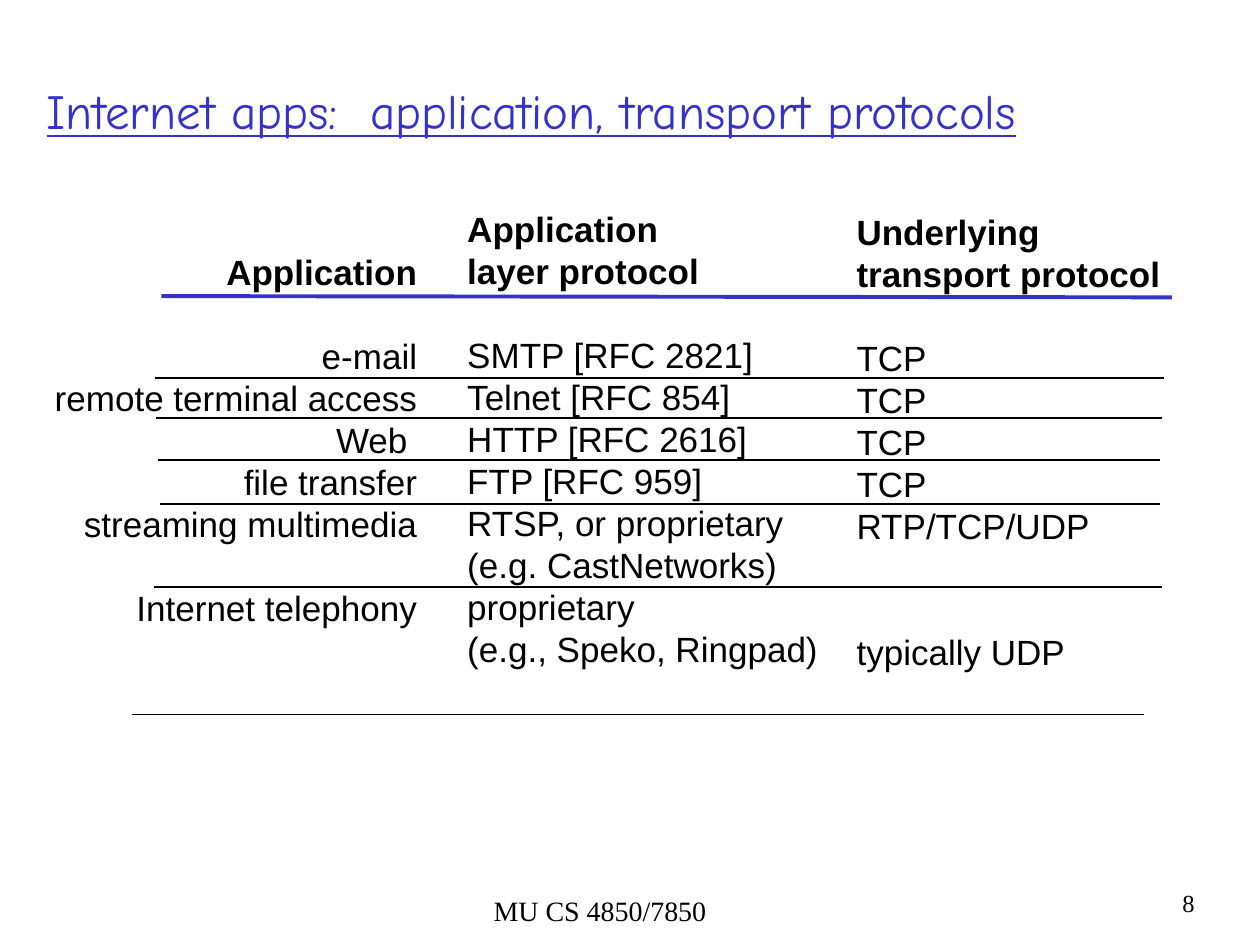
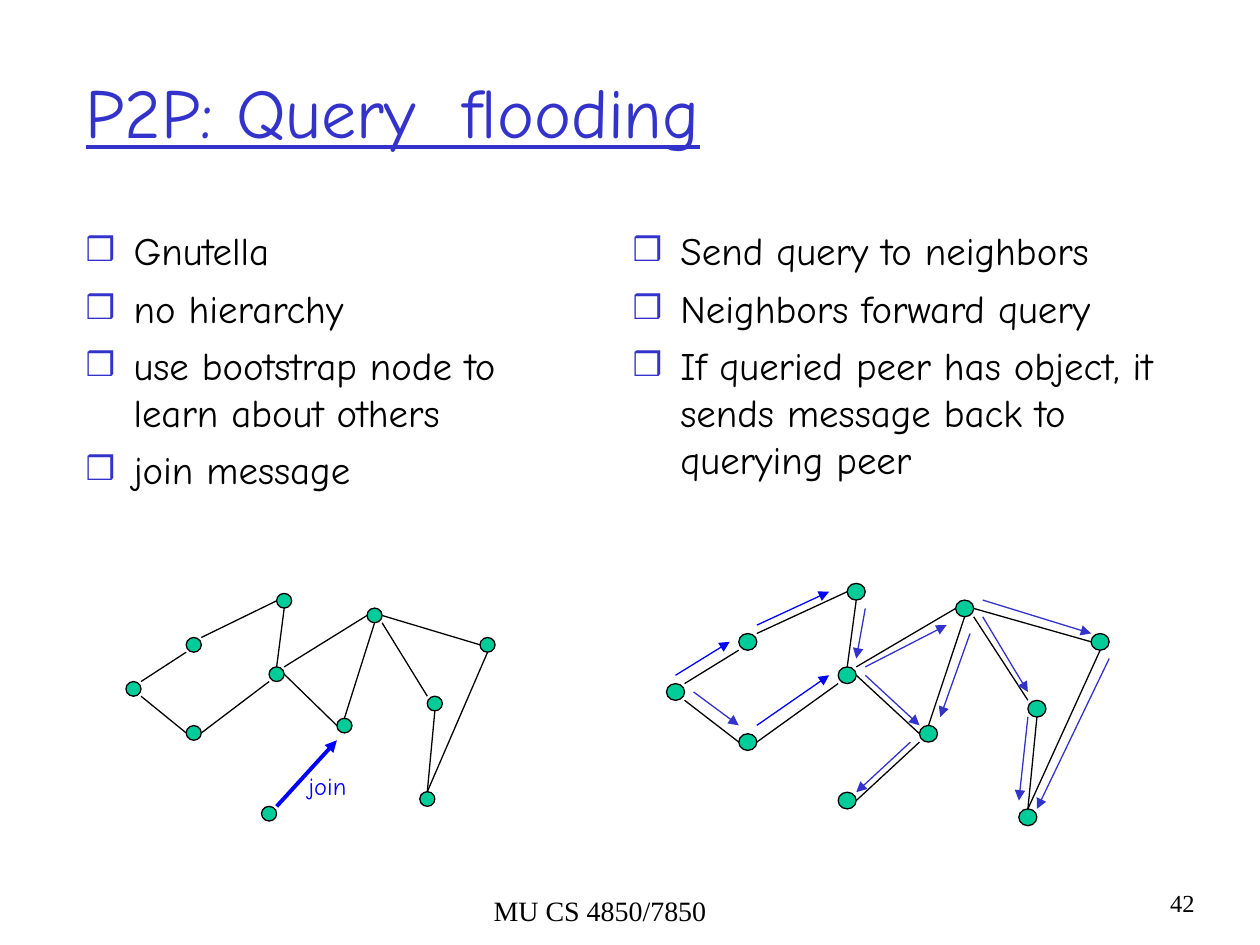
from lxml import etree
from pptx import Presentation
from pptx import util as u
from pptx.dml.color import RGBColor
from pptx.enum import shapes, text
from pptx.oxml import ns

INK, ACCENT, BLUE, GREEN = "000000", "3333CC", "0000FF", "00CC99"
TITLE_FONT, TABLE_FONT, FOOTER_FONT = "Comic Neue", "Arial", "Times New Roman"
LEFT, RIGHT = text.PP_ALIGN.LEFT, text.PP_ALIGN.RIGHT

presentation = Presentation()
presentation.slide_width, presentation.slide_height = u.Inches(10), u.Inches(7.5)
# The slide is a grid of 10 columns by 7.5 rows
COLUMN = presentation.slide_width / 10
ROW = presentation.slide_height / 7.5


def color(value):
    return RGBColor.from_string(value)


def write(shape, area, paragraphs, size=20, font=TITLE_FONT, ink=INK, align=LEFT,
          anchor=text.MSO_ANCHOR.TOP, underline=False, bold_count=0, line=None,
          gaps=None, bullet=None):
    """Place a shape on the grid and fill it with formatted paragraphs."""
    left, top, width, height = area
    shape.left, shape.width = int(left * COLUMN), int(width * COLUMN)
    shape.top, shape.height = int(top * ROW), int(height * ROW)
    frame = shape.text_frame
    frame.word_wrap = True
    frame.auto_size = text.MSO_AUTO_SIZE.NONE
    frame.vertical_anchor = anchor
    for index, words in enumerate(paragraphs):
        paragraph = frame.add_paragraph() if index else frame.paragraphs[0]
        if bullet:
            properties = paragraph._p.get_or_add_pPr()
            properties.set("marL", str(u.Inches(0.38)))
            properties.set("indent", str(-u.Inches(0.38)))
            bullet_color = etree.SubElement(properties, ns.qn("a:buClr"))
            etree.SubElement(bullet_color, ns.qn("a:srgbClr"), val=ACCENT)
            etree.SubElement(properties, ns.qn("a:buSzPct"), val="85000")
            etree.SubElement(properties, ns.qn("a:buChar"), char=bullet)
        paragraph.alignment = align
        paragraph.space_before = u.Pt(gaps[index] if gaps and index else 0)
        if line:
            paragraph.line_spacing = u.Pt(line)
        run = paragraph.add_run()
        run.text = words
        run.font.size, run.font.name = u.Pt(size), font
        run.font.bold, run.font.underline = index < bold_count, underline
        run.font.color.rgb = color(ink)


# Slides with their shared title style, footer and number
slides = []
for layout, title, title_area, title_size, number in (
    (5, "Internet apps:  application, transport protocols", (0.27, 0.25, 9.57, 1.25), 28, "8"),
    (3, "P2P: Query  flooding", (0.58, 0.25, 8.5, 1.25), 40, "42"),
):
    slide = presentation.slides.add_slide(presentation.slide_layouts[layout])
    write(slide.shapes.title, title_area, [title], size=title_size, ink=ACCENT,
          underline=True, anchor=text.MSO_ANCHOR.MIDDLE)
    write(slide.shapes.add_textbox(0, 0, 0, 0), (3.82, 7.04, 2, 0.37),
          ["MU CS 4850/7850"], size=16, font=FOOTER_FONT)
    write(slide.shapes.add_textbox(0, 0, 0, 0), (9.08, 7, 0.5, 0.5),
          [number], size=14, font=FOOTER_FONT, align=RIGHT)
    slides.append(slide)
protocols, flooding = slides
lines = []  # slide, x1, y1, x2, y2, colour, width, arrow

# Protocol columns: each entry is keyed by the text line it stands on
LINE_HEIGHT = 24
for area, align, header_count, entries in (
    ((0.24, 1.94, 3.17, 3.44), RIGHT, 1,
     {0: "Application", 2: "e-mail", 3: "remote terminal access", 4: "Web ",
      5: "file transfer", 6: "streaming multimedia", 8: "Internet telephony"}),
    ((3.61, 1.6, 3.05, 3.77), LEFT, 2,
     {0: "Application", 1: "layer protocol", 3: "SMTP [RFC 2821]",
      4: "Telnet [RFC 854]", 5: "HTTP [RFC 2616]", 6: "FTP [RFC 959]",
      7: "RTSP, or proprietary", 8: "(e.g. CastNetworks)", 9: "proprietary",
      10: "(e.g., Speko, Ringpad)"}),
    ((6.7, 1.62, 2.87, 3.77), LEFT, 2,
     {0: "Underlying", 1: "transport protocol", 3: "TCP", 4: "TCP", 5: "TCP",
      6: "TCP", 7: "RTP/TCP/UDP", 10: "typically UDP"}),
):
    places = list(entries)
    gaps = [0] + [(after - before - 1) * LINE_HEIGHT
                  for before, after in zip(places, places[1:])]
    write(protocols.shapes.add_textbox(0, 0, 0, 0), area, entries.values(),
          font=TABLE_FONT, align=align, bold_count=header_count,
          line=LINE_HEIGHT, gaps=gaps)

# Rules under the header and the rows
lines.append((protocols, 1.28, 2.35, 9.3, 2.36, ACCENT, 2.25, False))
for start, end, height in ((1.23, 9.24, 3), (1.24, 9.22, 3.32), (1.25, 9.21, 3.65),
                           (1.27, 9.21, 4), (1.22, 9.22, 4.66), (1.05, 9.08, 5.67)):
    lines.append((protocols, start, height, end, height, INK, 1, False))

# Bullet lists
bodies = [shape for shape in flooding.placeholders if shape.placeholder_format.idx]
for body, area, points in zip(
    bodies,
    ((0.58, 1.75, 4.17, 2.13), (4.92, 1.75, 4.64, 2.16)),
    (("Gnutella", "no hierarchy", "use bootstrap node to learn about others",
      "join message"),
     ("Send query to neighbors", "Neighbors forward query",
      "If queried peer has object, it sends message back to querying peer")),
):
    write(body, area, points, size=22.2, line=26.8, gaps=[6] * len(points), bullet="❒")

# Peer network in fine grid units; every peer is two units wide and high
PEERS = [(0, 12), (8, 18), (20, 0), (19, 10), (8, 6), (32, 2), (40, 14),
         (39, 27), (47, 6), (28, 17)]
LINKS = [(8, 8, 2, 12), (20, 1, 10, 6), (21, 2, 20, 10), (2, 14, 8, 19),
         (10, 19, 19, 12), (21, 11, 28, 18), (33, 4, 29, 17), (34, 3, 47, 7),
         (34, 4, 40, 14), (48, 8, 40, 27), (41, 16, 40, 27), (21, 10, 32, 3)]
JOIN = [(20, 29, 28, 20, BLUE, 2.25)]
QUERIES = [(*ends, BLUE, 0.75) for ends in
           ((1, 11, 7, 7), (10, 5, 18, 1), (10, 17, 18, 11))]
QUERIES += [(*ends, ACCENT, 0.75) for ends in
            ((3, 13, 8, 17), (22, 3, 21, 9), (22, 10, 31, 5), (22, 11, 28, 17),
             (27, 19, 21, 25), (35, 2, 47, 6), (35, 4, 40, 13), (49, 9, 41, 27),
             (40, 16, 39, 26), (33.6, 6, 30.3, 16))]

# Both networks share the peers and links, each at its own scale
for left, top, unit_x, unit_y, new_peer, new_links, arrows in (
    (1, 4.71, 2.81 / 47, 1.69 / 29, (18, 29), [], JOIN),
    (5.29, 4.63, 3.37 / 47, 1.79 / 27, (19, 25), [(21, 26, 28, 19)], QUERIES),
):
    for x, y in PEERS + [new_peer]:
        peer = flooding.shapes.add_shape(
            shapes.MSO_SHAPE.OVAL,
            int((left + x * unit_x) * COLUMN), int((top + y * unit_y) * ROW),
            int(2 * unit_x * COLUMN), int(2 * unit_y * ROW))
        peer.shadow.inherit = False
        peer.fill.solid()
        peer.fill.fore_color.rgb = color(GREEN)
        peer.line.color.rgb = color(INK)
        peer.line.width = u.Pt(0.75)
    links = [(*ends, INK, 0.75) for ends in LINKS + new_links]
    for x1, y1, x2, y2, ink, weight in links + arrows:
        lines.append((flooding, left + x1 * unit_x, top + y1 * unit_y,
                      left + x2 * unit_x, top + y2 * unit_y, ink, weight,
                      ink != INK))

# Draw all lines and arrows
for slide, x1, y1, x2, y2, ink, weight, arrow in lines:
    connector = slide.shapes.add_connector(
        shapes.MSO_CONNECTOR.STRAIGHT, int(x1 * COLUMN), int(y1 * ROW),
        int(x2 * COLUMN), int(y2 * ROW))
    connector.line.color.rgb = color(ink)
    connector.line.width = u.Pt(weight)
    if arrow:
        etree.SubElement(connector.line._get_or_add_ln(), ns.qn("a:tailEnd"),
                         type="triangle")
    etree.SubElement(connector._element.spPr, ns.qn("a:effectLst"))

write(flooding.shapes.add_textbox(0, 0, 0, 0), (2.35, 6.07, 0.6, 0.34), ["join"],
      size=14, ink=BLUE)

presentation.save("out.pptx")
